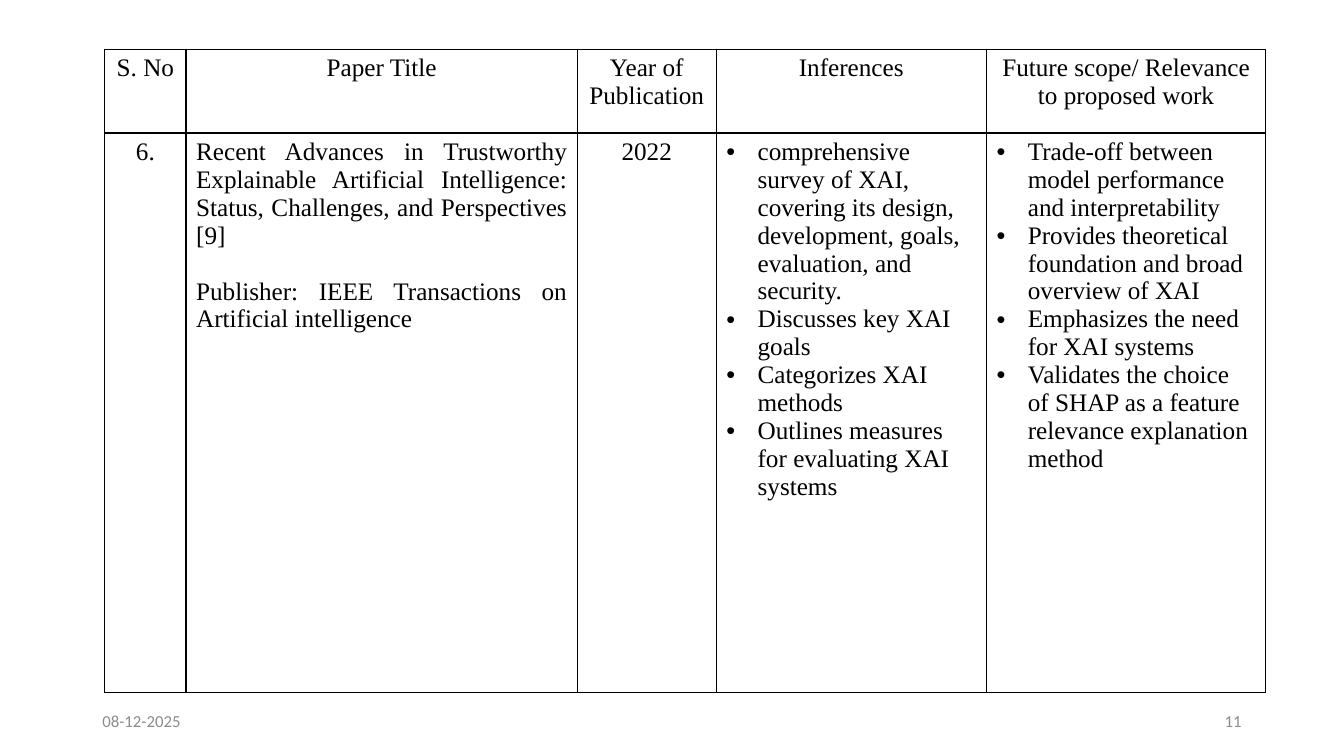
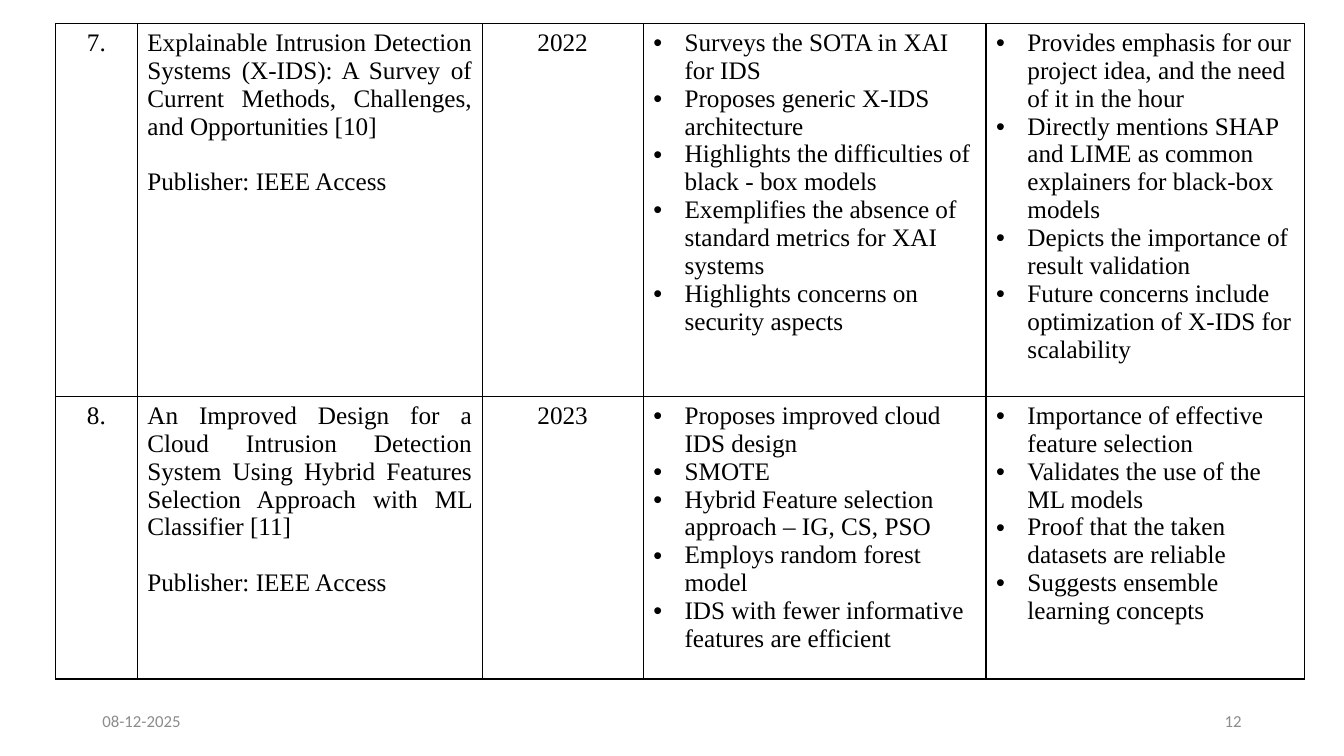
from itertools import product

from lxml import etree
from pptx import Presentation
from pptx import util as u
from pptx.dml.color import RGBColor
from pptx.enum import text
from pptx.oxml import ns

# Shared look
BLACK = RGBColor(0x00, 0x00, 0x00)
GREY = RGBColor(0x8C, 0x8C, 0x8C)
SERIF, SANS = "Times New Roman", "Calibri"
LINE = u.Pt(1)
INDENT = u.Cm(0.79)
GAP = u.Pt(20)
ALIGN = text.PP_ALIGN
DATE = "08-12-2025"

# Columns: number, title and publisher, year, inferences, relevance
HEAD = ["S. No", "Paper Title", "Year of Publication", "Inferences",
        "Future scope/ Relevance to proposed work"]

TRUST = [
    "6.",
    ["Recent Advances in Trustworthy Explainable Artificial Intelligence: "
     "Status, Challenges, and Perspectives [9]",
     "Publisher: IEEE Transactions on Artificial intelligence"],
    "2022",
    ["comprehensive survey of XAI, covering its design, development, goals, "
     "evaluation, and security.",
     "Discusses key XAI goals",
     "Categorizes XAI methods",
     "Outlines measures for evaluating XAI systems"],
    ["Trade-off between model performance and interpretability",
     "Provides theoretical foundation and broad overview of XAI",
     "Emphasizes the need for XAI systems",
     "Validates the choice of SHAP as a feature relevance explanation method"],
]

SURVEY = [
    "7.",
    ["Explainable Intrusion Detection Systems (X-IDS): A Survey of Current "
     "Methods, Challenges, and Opportunities [10]",
     "Publisher: IEEE Access"],
    "2022",
    ["Surveys the SOTA in XAI for IDS",
     "Proposes generic X-IDS architecture",
     "Highlights the difficulties of black - box models",
     "Exemplifies the absence of standard metrics for XAI systems",
     "Highlights concerns on security aspects"],
    ["Provides emphasis for our project idea, and the need of it in the hour",
     "Directly mentions SHAP and LIME as common explainers for black-box models",
     "Depicts the importance of result validation",
     "Future concerns include optimization of X-IDS for scalability"],
]

CLOUD = [
    "8.",
    ["An Improved Design for a Cloud Intrusion Detection System Using Hybrid "
     "Features Selection Approach with ML Classifier [11]",
     "Publisher: IEEE Access"],
    "2023",
    ["Proposes improved cloud IDS design",
     "SMOTE",
     "Hybrid Feature selection approach – IG, CS, PSO",
     "Employs random forest model",
     "IDS with fewer informative features are efficient"],
    ["Importance of effective feature selection",
     "Validates the use of the ML models",
     "Proof that the taken datasets are reliable",
     "Suggests ensemble learning concepts"],
]


def add_run(para, words, size, face, color):
    run = para.add_run()
    run.text = words
    run.font.size = u.Pt(size)
    run.font.name = face
    run.font.color.rgb = color


def add_node(parent, tag, **attrs):
    return etree.SubElement(parent, ns.qn(tag), attrs)


def set_bullet(para):
    props = para._p.get_or_add_pPr()
    props.set("marL", str(INDENT))
    props.set("indent", str(-INDENT))
    add_node(props, "a:buFont", typeface="Arial")
    add_node(props, "a:buChar", char="•")


def set_border(cell):
    props = cell._tc.get_or_add_tcPr()
    for side in ("lnL", "lnR", "lnT", "lnB"):
        line = add_node(props, f"a:{side}", w=str(LINE))
        fill = add_node(line, "a:solidFill")
        add_node(fill, "a:srgbClr", val=str(BLACK))


def fill_cell(cell, body, col):
    """Text is centred, the title column justified, other lists bulleted."""
    set_border(cell)
    cell.fill.background()
    frame = cell.text_frame
    lines = [body] if isinstance(body, str) else body
    for i, words in enumerate(lines):
        para = frame.add_paragraph() if i else frame.paragraphs[0]
        if isinstance(body, str):
            para.alignment = ALIGN.CENTER
        elif col == 1:
            para.alignment = ALIGN.JUSTIFY
            if i:
                para.space_before = GAP
        else:
            set_bullet(para)
        add_run(para, words, 18, SERIF, BLACK)


def add_grid(slide, left, top, widths, heights, rows):
    table = slide.shapes.add_table(
        len(rows), len(widths), u.Cm(left), u.Cm(top),
        u.Cm(sum(widths)), u.Cm(sum(heights))).table
    table.first_row = table.horz_banding = False
    for col, width in zip(table.columns, widths):
        col.width = u.Cm(width)
    for row, height in zip(table.rows, heights):
        row.height = u.Cm(height)
    for r, c in product(range(len(rows)), range(len(widths))):
        fill_cell(table.cell(r, c), rows[r][c], c)


def add_foot(slide, number):
    for left, words, align in ((2.33, DATE, ALIGN.LEFT),
                               (23.92, str(number), ALIGN.RIGHT)):
        box = slide.shapes.add_textbox(
            u.Cm(left), u.Cm(17.65), u.Cm(7.62), u.Cm(1.01))
        frame = box.text_frame
        frame.word_wrap = True
        frame.vertical_anchor = text.MSO_ANCHOR.MIDDLE
        para = frame.paragraphs[0]
        para.alignment = align
        add_run(para, words, 12, SANS, GREY)


def add_page(deck, number, *grid):
    slide = deck.slides.add_slide(deck.slide_layouts[6])
    add_foot(slide, number)
    add_grid(slide, *grid)


def main():
    deck = Presentation()
    deck.slide_width, deck.slide_height = u.Cm(33.87), u.Cm(19.05)

    # Paper 6, with the column heads
    add_page(deck, 11, 2.64, 1.24, [2.05, 9.86, 3.5, 6.81, 7.04],
             [2.11, 14.1], [HEAD, TRUST])
    # Papers 7 and 8
    add_page(deck, 12, 1.4, 0.6, [2.06, 8.69, 4.06, 8.64, 8.02],
             [9.35, 6.73], [SURVEY, CLOUD])

    deck.save("out.pptx")


if __name__ == "__main__":
    main()
